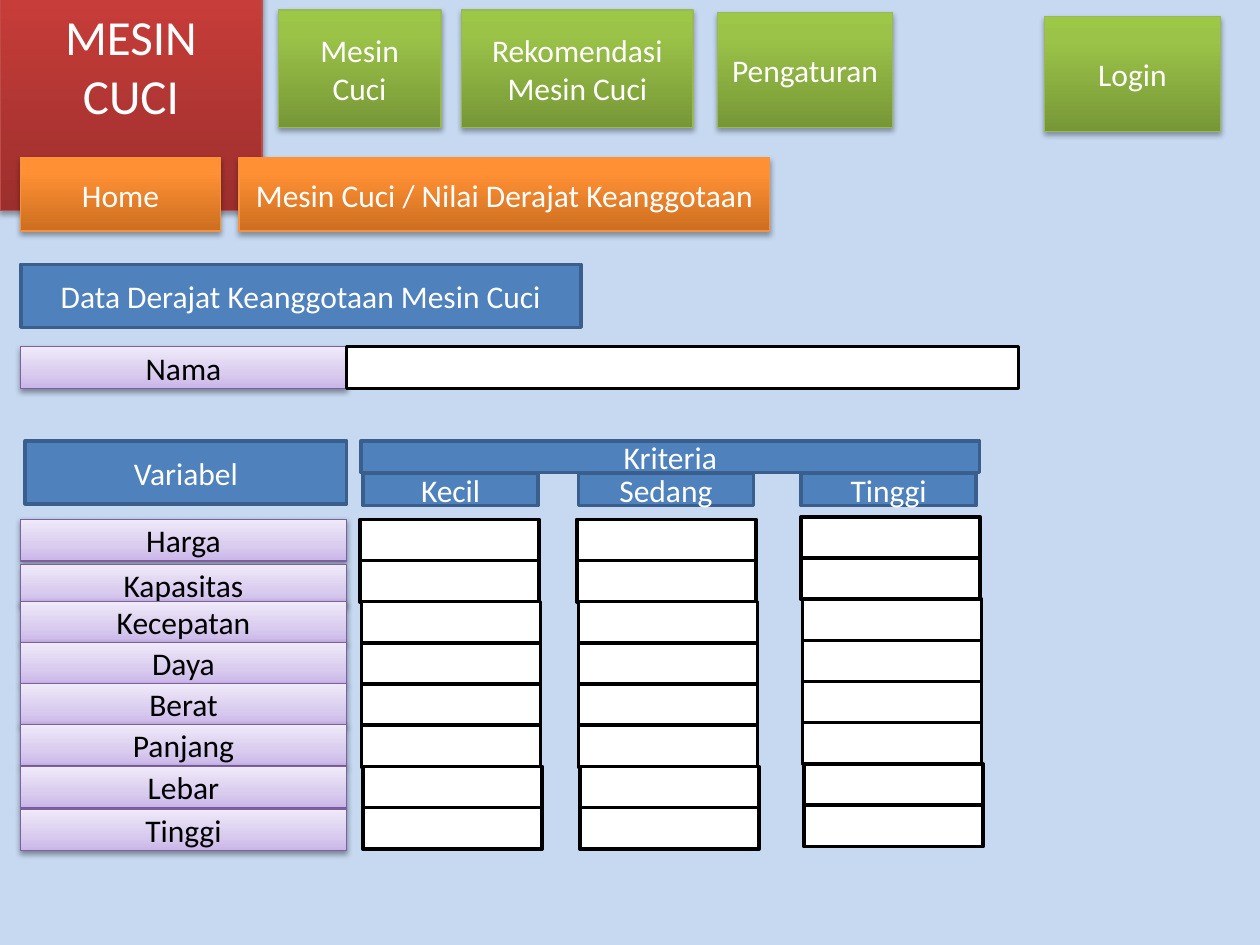
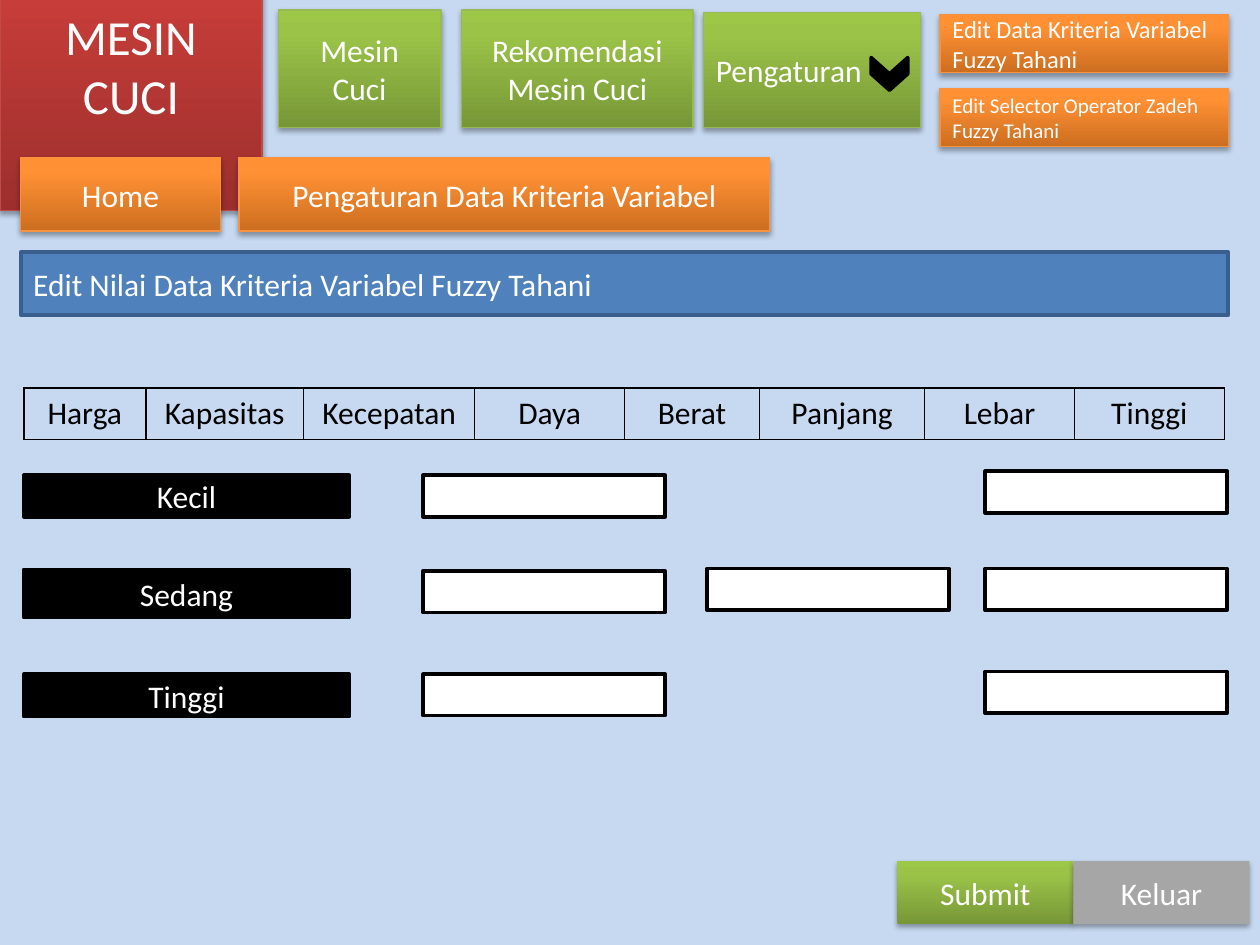
from lxml import etree
from pptx import Presentation
from pptx import util as u
from pptx.dml import color
from pptx.enum import shapes, text
from pptx.oxml import ns

Cm, Pt, RGB = u.Cm, u.Pt, color.RGBColor.from_string


class Theme:
    """Colours, type sizes and box looks of both slides."""
    font, background, ink, paper = "Calibri", "C6D9F1", "000000", "FFFFFF"
    title_size, body_size, note_size, small_size = 28, 18, 14, 12
    deep_shadow = {"blur": 40000, "distance": 23000, "opacity": 35000}
    soft_shadow = {"blur": 40000, "distance": 20000, "opacity": 38000}
    green_stops = [(0, "779737"), (80, "9BC348"), (100, "9DC746")]
    looks = {
        "red": {"stops": [(0, "9C2F2D"), (80, "CB3E3A"), (100, "CE3B37")],
                "line": "BF4C48", "shadow": deep_shadow},
        "orange": {"stops": [(0, "CC6E20"), (80, "FF9034"), (100, "FF9136")],
                   "line": "F69240", "shadow": deep_shadow},
        "green": {"stops": green_stops, "line": "98B955", "shadow": deep_shadow},
        "submit": {"stops": green_stops, "shadow": deep_shadow},
        "gray": {"fill": "A6A6A6", "shadow": deep_shadow},
        "lilac": {"stops": [(0, "C9B5E8"), (35, "D8CBEE"), (100, "F0EAF9")],
                  "line": "7D60A0", "shadow": soft_shadow, "font": ink},
        "blue": {"fill": "4F81BD", "line": "3A5F8C", "width": 2},
        "field": {"fill": paper, "line": ink, "width": 2},
        "black": {"fill": ink, "line": ink, "width": 2},
    }


def add_xml(parent, tag, **attributes):
    """Append a DrawingML element to parent and return it."""
    child = etree.SubElement(parent, ns.qn("a:" + tag))
    for key, value in attributes.items():
        child.set(key, str(value))
    return child


def draw(page, look, area, words="", size=Theme.body_size, align=text.PP_ALIGN.CENTER,
         kind=shapes.MSO_SHAPE.RECTANGLE, box=None):
    """Format a new shape, or the given placeholder, at an area in centimetres."""
    style = Theme.looks[look]
    area = [Cm(length) for length in area]
    if box is None:
        box = page.shapes.add_shape(kind, *area)
    for name, value in zip(("left", "top", "width", "height"), area):
        setattr(box, name, value)

    if "stops" in style:
        box.fill.gradient()
        box.fill.gradient_angle = 90
        stop_list = box.element.spPr.find(".//" + ns.qn("a:gsLst"))
        for old in list(stop_list):
            stop_list.remove(old)
        for percent, tint in style["stops"]:
            add_xml(add_xml(stop_list, "gs", pos=percent * 1000), "srgbClr", val=tint)
    else:
        box.fill.solid()
        box.fill.fore_color.rgb = RGB(style["fill"])
    if "line" in style:
        box.line.color.rgb = RGB(style["line"])
        box.line.width = Pt(style.get("width", 0.75))
    else:
        box.line.fill.background()

    box.shadow.inherit = False
    if "shadow" in style:
        shadow = style["shadow"]
        effects = box.element.spPr.find(ns.qn("a:effectLst"))
        outer = add_xml(effects, "outerShdw", blurRad=shadow["blur"],
                        dist=shadow["distance"], dir=5400000, rotWithShape=0)
        shade = add_xml(outer, "srgbClr", val=Theme.ink)
        add_xml(shade, "alpha", val=shadow["opacity"])

    if words:
        frame = box.text_frame
        frame.text = words
        frame.word_wrap = True
        frame.vertical_anchor = text.MSO_ANCHOR.MIDDLE
        para = frame.paragraphs[0]
        para.alignment = align
        for name, value in {"name": Theme.font, "size": Pt(size)}.items():
            setattr(para.font, name, value)
        para.font.color.rgb = RGB(style.get("font", Theme.paper))
    return box


deck = Presentation()
deck.slide_width, deck.slide_height = Cm(25.4), Cm(19.05)
LEFT = text.PP_ALIGN.LEFT
variables = ["Harga", "Kapasitas", "Kecepatan", "Daya", "Berat", "Panjang", "Lebar", "Tinggi"]
levels = ["Kecil", "Sedang", "Tinggi"]
label_width, row_height = 6.56, 0.84

# Header and navigation shared by both slides
pages = []
for crumb in ("Mesin Cuci / Nilai Derajat Keanggotaan", "Pengaturan Data Kriteria Variabel"):
    page = deck.slides.add_slide(deck.slide_layouts[5])
    page.background.fill.solid()
    page.background.fill.fore_color.rgb = RGB(Theme.background)
    draw(page, "red", (0, 0, 5.28, 2.64), "MESIN CUCI", Theme.title_size,
         box=page.shapes.title)
    page.shapes.title.text_frame.auto_size = text.MSO_AUTO_SIZE.SHAPE_TO_FIT_TEXT
    draw(page, "orange", (0.42, 3.18, 4.02, 1.48), "Home")
    draw(page, "orange", (4.82, 3.18, 10.7, 1.48), crumb)
    draw(page, "green", (5.61, 0.2, 3.28, 2.37), "Mesin Cuci")
    draw(page, "green", (9.31, 0.2, 4.66, 2.37), "Rekomendasi Mesin Cuci")
    pages.append(page)
membership, settings = pages

# Slide 1: membership degrees
draw(membership, "green", (14.46, 0.25, 3.54, 2.32), "Pengaturan")
draw(membership, "green", (21.06, 0.33, 3.54, 2.32), "Login")
draw(membership, "blue", (0.42, 5.33, 11.29, 1.27), "Data Derajat Keanggotaan Mesin Cuci")
draw(membership, "lilac", (0.42, 6.99, label_width, row_height), "Nama")
draw(membership, "field", (6.99, 6.99, 13.54, row_height))

label_tops = [10.47, 11.38, 12.12, 12.95, 13.78, 14.6, 15.45, 16.31]
for variable, top in zip(variables, label_tops):
    draw(membership, "lilac", (0.42, top, label_width, row_height), variable)
for left, top in ((7.26, 10.47), (11.63, 10.47), (16.15, 10.42)):
    for row in range(len(variables)):
        drift = 0.03 * ((row + 2) // 4)
        draw(membership, "field", (left + drift, top + 0.83 * row, 3.61, row_height))

draw(membership, "blue", (0.51, 8.89, 6.48, 1.27), "Variabel")
draw(membership, "blue", (7.28, 8.89, 12.47, 0.64), "Kriteria")
for level, left in zip(levels, (7.32, 11.66, 16.15)):
    draw(membership, "blue", (left, 9.55, 3.53, 0.64), level)

# Slide 2: criteria settings
draw(settings, "green", (14.18, 0.25, 4.38, 2.32), "Pengaturan", align=LEFT)
arrow = draw(settings, "black", (17.6, 1.12, 0.66, 0.74), kind=shapes.MSO_SHAPE.CHEVRON)
arrow.rotation = 90
for words, top, size in (
        ("Edit Data Kriteria Variabel Fuzzy Tahani", 0.3, Theme.note_size),
        ("Edit Selector Operator Zadeh Fuzzy Tahani", 1.78, Theme.small_size)):
    draw(settings, "orange", (18.95, top, 5.82, 1.17), words, size, LEFT)
draw(settings, "blue", (0.42, 5.08, 24.34, 1.27),
     "Edit Nilai Data Kriteria Variabel Fuzzy Tahani", align=LEFT)

column_widths = [2.46, 3.18, 3.45, 3.02, 2.72, 3.33, 3.02, 3.02]
table = settings.shapes.add_table(1, len(variables), Cm(0.48), Cm(7.82),
                                  Cm(sum(column_widths)), Cm(1.04)).table
table.first_row = table.horz_banding = False
for column, (variable, width) in enumerate(zip(variables, column_widths)):
    table.columns[column].width = Cm(width)
    cell = table.cell(0, column)
    cell.text = variable
    para = cell.text_frame.paragraphs[0]
    para.alignment = text.PP_ALIGN.CENTER
    for name, value in {"name": Theme.font, "size": Pt(Theme.body_size)}.items():
        setattr(para.font, name, value)
    para.font.color.rgb = RGB(Theme.ink)
    properties = cell._tc.get_or_add_tcPr()
    for side in ("lnL", "lnR", "lnT", "lnB"):
        border = add_xml(properties, side, w=Pt(1))
        add_xml(add_xml(border, "solidFill"), "srgbClr", val=Theme.ink)
    cell.fill.background()

for level, top, height in zip(levels, (9.58, 11.48, 13.59), (0.84, 0.97, 0.86)):
    draw(settings, "black", (0.48, top, label_width, height), level)
for left, tops in ((8.53, (9.58, 11.51, 13.59)), (14.25, (11.46,)),
                   (19.86, (9.5, 11.46, 13.54))):
    for top in tops:
        draw(settings, "field", (left, top, 4.88, row_height))
for look, words, left in (("submit", "Submit", 18.09), ("gray", "Keluar", 21.64)):
    draw(settings, look, (left, 17.36, 3.55, 1.27), words)

deck.save("out.pptx")
